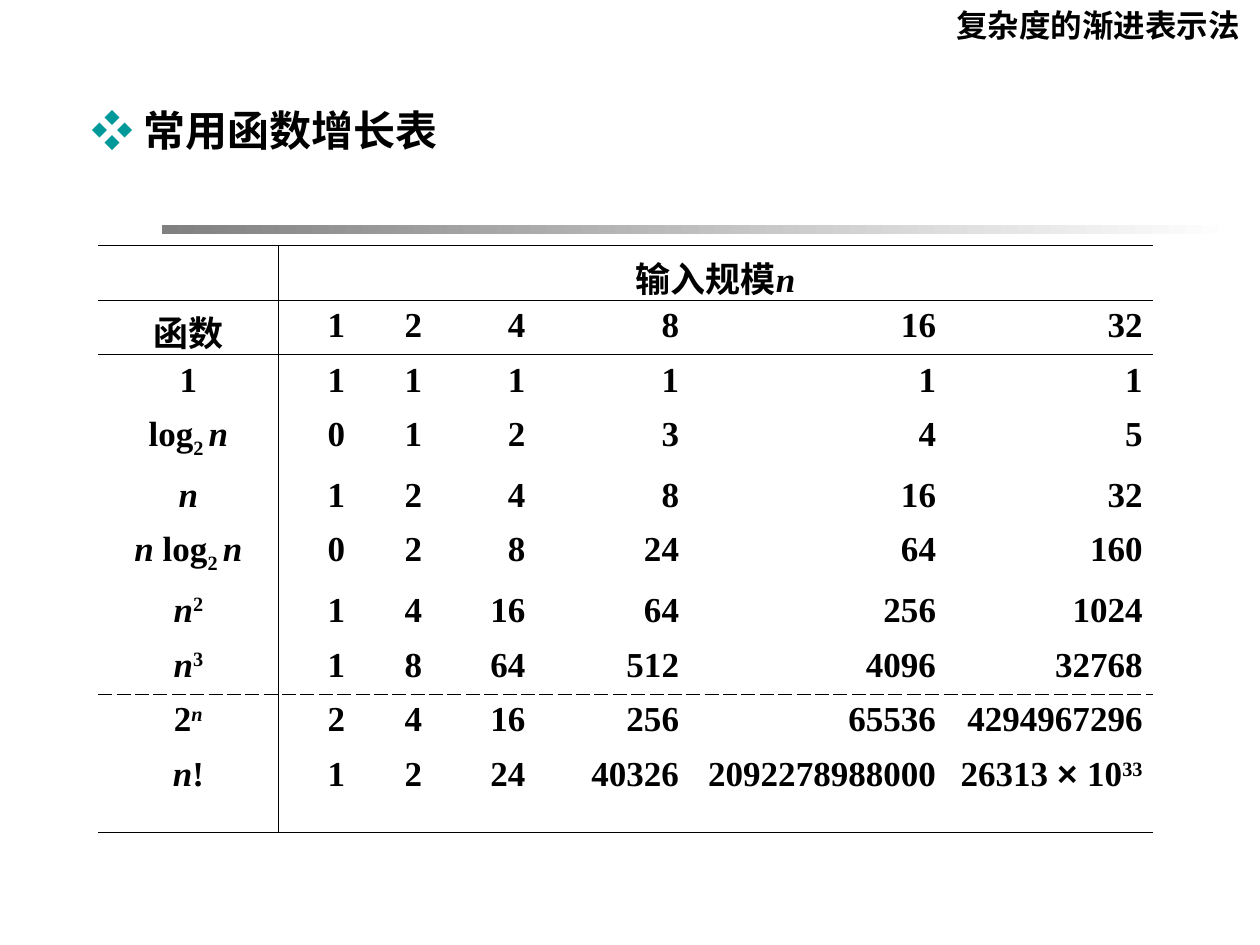
from dataclasses import dataclass

from lxml import etree
from pptx import Presentation
from pptx.dml.color import RGBColor
from pptx.enum.shapes import MSO_SHAPE
from pptx.enum.text import MSO_ANCHOR, MSO_AUTO_SIZE, PP_ALIGN
from pptx.oxml.ns import qn
from pptx.util import Inches, Pt

LEFT, CENTER, RIGHT = PP_ALIGN.LEFT, PP_ALIGN.CENTER, PP_ALIGN.RIGHT
TOP = MSO_ANCHOR.TOP
NO_FIT = MSO_AUTO_SIZE.NONE
RECT = MSO_SHAPE.RECTANGLE
TITLE_ONLY = 5


@dataclass(frozen=True)
class Theme:
    ink: str = "000000"
    paper: str = "FFFFFF"
    accent: str = "009999"
    bar: str = "808080"
    serif: str = "Times New Roman"
    sans: str = "Arial"
    title: int = 24
    section: int = 18
    cell: int = 20
    rule: float = 0.45


T = Theme()

COLUMNS = [1.43, 0.61, 0.61, 0.82, 1.22, 2.04, 1.64]
ROW, SUBSCRIPT_ROW, LAST_ROW = 0.43, 0.48, 0.66

# A run is (text, marks): i italic, ^ superscript, _ subscript, s sans.
N = ("n", "i")
LOG_N = [("log", ""), ("2 ", "_"), N]
SIZES = [1, 2, 4, 8, 16, 32]
GROWTH = [
    ([("1", "")], [1] * 6),
    (LOG_N, [0, 1, 2, 3, 4, 5]),
    ([N], SIZES),
    ([N, (" ", "")] + LOG_N, [0, 2, 8, 24, 64, 160]),
    ([N, ("2", "^")], [1, 4, 16, 64, 256, 1024]),
    ([N, ("3", "^")], [1, 8, 64, 512, 4096, 32768]),
    ([("2", ""), ("n", "i^")], [2, 4, 16, 256, 65536, 4294967296]),
    ([N, ("!", "")], [1, 2, 24, 40326, 2092278988000,
                      [("26313 ", ""), ("× ", "s"), ("10", ""), ("33", "^")]]),
]


def add_runs(p, runs, size, align, color=T.ink):
    p.alignment = align
    for text, marks in runs:
        r = p.add_run()
        r.text = text
        f = r.font
        f.name = T.sans if "s" in marks else T.serif
        f.size, f.bold, f.italic = Pt(size), True, "i" in marks
        f.color.rgb = RGBColor.from_string(color)
        if "^" in marks or "_" in marks:
            f._element.set("baseline", "30000" if "^" in marks else "-25000")


def place(sp, box):
    sp.left, sp.top, sp.width, sp.height = (Inches(v) for v in box)


def add_title(s, box):
    sp = s.shapes.title
    place(sp, box)
    tf = sp.text_frame
    tf.auto_size, tf.vertical_anchor, tf.word_wrap = NO_FIT, TOP, True
    p = tf.paragraphs[0]
    add_runs(p, [("❖ ", "s")], T.title, LEFT, T.accent)
    add_runs(p, [("常用函数增长表", "")], T.title, LEFT)


def add_section_name(s, box):
    tf = s.shapes.add_textbox(*(Inches(v) for v in box)).text_frame
    tf.word_wrap = True
    tf.margin_left, tf.margin_right = Inches(0.12), Inches(0.16)
    add_runs(tf.paragraphs[0], [("复杂度的渐进表示法", "")], T.section, RIGHT)


def add_gradient_bar(s, box):
    sp = s.shapes.add_shape(RECT, *(Inches(v) for v in box))
    sp.shadow.inherit = False
    sp.fill.gradient()
    sp.fill.gradient_angle = 0
    for stop, color, position in zip(sp.fill.gradient_stops, (T.bar, T.paper), (0, 1)):
        stop.color.rgb = RGBColor.from_string(color)
        stop.position = position
    sp.line.color.rgb = RGBColor.from_string(T.paper)
    sp.line.width = Pt(0.11)


def set_borders(cell, edges):
    """edges maps L, R, T, B to a dash name; an absent edge is not drawn."""
    tcPr = cell._tc.get_or_add_tcPr()
    for side in "LRTB":
        ln = etree.SubElement(tcPr, qn(f"a:ln{side}"), w=str(Pt(T.rule)))
        if side in edges:
            fill = etree.SubElement(ln, qn("a:solidFill"))
            etree.SubElement(fill, qn("a:srgbClr"), val=T.ink)
            etree.SubElement(ln, qn("a:prstDash"), val=edges[side])
        else:
            etree.SubElement(ln, qn("a:noFill"))


def cell_edges(row, col, last):
    rules = {0: "solid", 1: "solid", 2: "solid", last: "dash", last + 2: "solid"}
    edges = {}
    if row in rules:
        edges["T"] = rules[row]
    if row + 1 in rules:
        edges["B"] = rules[row + 1]
    if col < 2:
        edges["R" if col == 0 else "L"] = "solid"
    return edges


def add_growth_table(s, left, top):
    rows = [([], [[("输入规模", ""), N]]), ([("函数", "")], SIZES)] + GROWTH
    heights = [SUBSCRIPT_ROW if ("2 ", "_") in label else ROW for label, _ in rows]
    heights[-1] = LAST_ROW
    frame = s.shapes.add_table(len(rows), len(COLUMNS), Inches(left), Inches(top),
                               Inches(sum(COLUMNS)), Inches(sum(heights)))
    table = frame.table
    table.first_row = table.horz_banding = False
    for column, width in zip(table.columns, COLUMNS):
        column.width = Inches(width)
    for row, height in zip(table.rows, heights):
        row.height = Inches(height)
    table.cell(0, 1).merge(table.cell(0, len(COLUMNS) - 1))

    for i, (label, values) in enumerate(rows):
        contents = [label] + values
        for j in range(len(COLUMNS)):
            cell = table.cell(i, j)
            set_borders(cell, cell_edges(i, j, len(rows) - 2))
            cell.fill.background()
            cell.margin_left = cell.margin_right = Inches(0.08)
            # Chinese lines are taller than the row leaves room for.
            cell.margin_bottom = Inches(0 if i == 0 or (i, j) == (1, 0) else 0.05)
            if j < len(contents):
                value = contents[j]
                runs = value if isinstance(value, list) else [(str(value), "")]
                align = CENTER if i == 0 or j == 0 else RIGHT
                add_runs(cell.text_frame.paragraphs[0], runs, T.cell, align)


def main():
    prs = Presentation()
    prs.slide_width, prs.slide_height = Inches(10), Inches(7.5)
    s = prs.slides.add_slide(prs.slide_layouts[TITLE_ONLY])
    add_gradient_bar(s, (1.28, 1.78, 8.53, 0.08))
    add_title(s, (0.63, 0.78, 4.37, 0.5))
    add_section_name(s, (6.41, 0, 3.59, 0.4))
    add_growth_table(s, 0.78, 1.95)
    prs.save("out.pptx")


if __name__ == "__main__":
    main()
